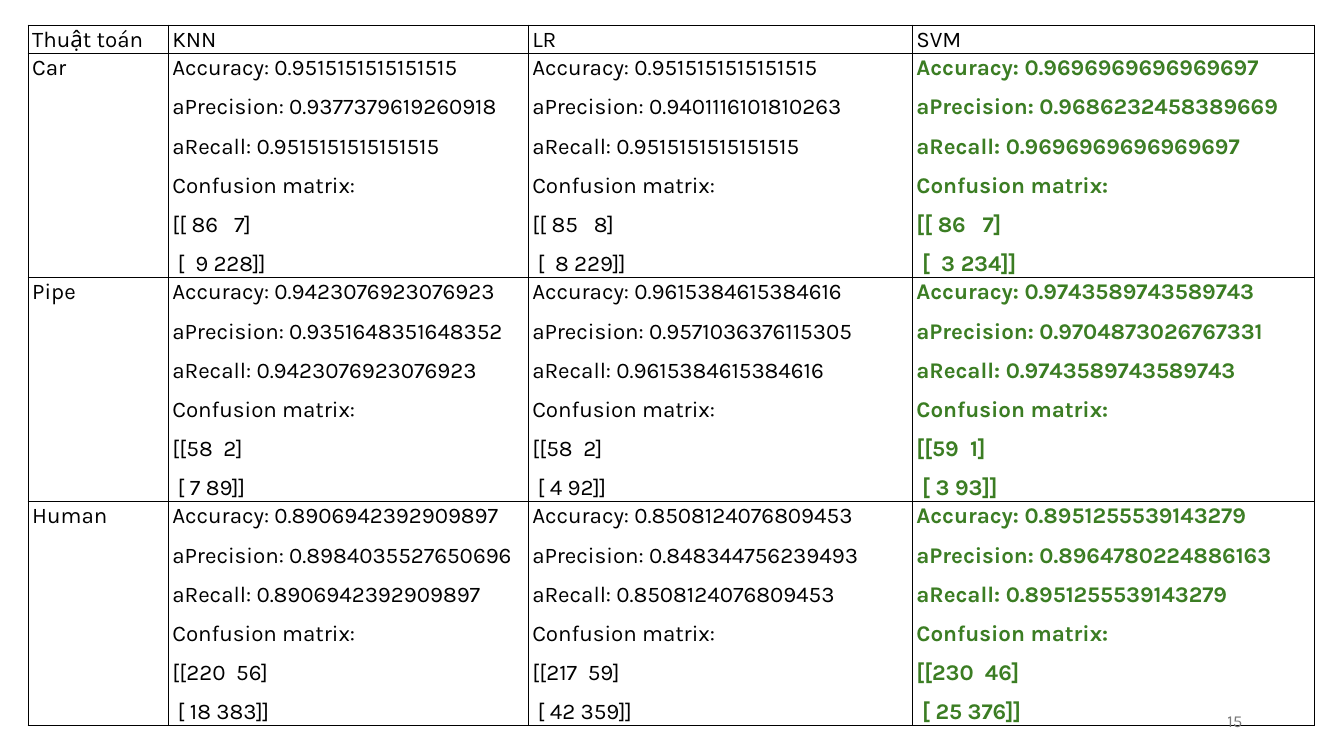
from lxml.etree import SubElement
from pptx import Presentation
from pptx.dml.color import RGBColor
from pptx.enum.text import MSO_ANCHOR, PP_ALIGN
from pptx.oxml.ns import qn
from pptx.util import Inches, Pt

BLACK = RGBColor(0x00, 0x00, 0x00)
GREEN = RGBColor(0x3B, 0x7D, 0x23)
GRAY = RGBColor(0x79, 0x79, 0x79)

HEADERS = ["Thuật toán", "KNN", "LR", "SVM"]
COLUMN_WIDTHS = [1.39, 3.57, 3.81, 3.99]
HEADER_HEIGHT = 0.28
RESULT_HEIGHT = 2.22
BEST_ALGORITHM = "SVM"

# For each class and algorithm: accuracy, precision, recall, matrix rows
RESULTS = {
    "Car": [
        ("0.9515151515151515", "0.9377379619260918", "0.9515151515151515", "[[ 86   7]", " [  9 228]]"),
        ("0.9515151515151515", "0.9401116101810263", "0.9515151515151515", "[[ 85   8]", " [  8 229]]"),
        ("0.9696969696969697", "0.9686232458389669", "0.9696969696969697", "[[ 86   7]", " [  3 234]]"),
    ],
    "Pipe": [
        ("0.9423076923076923", "0.9351648351648352", "0.9423076923076923", "[[58  2]", " [ 7 89]]"),
        ("0.9615384615384616", "0.9571036376115305", "0.9615384615384616", "[[58  2]", " [ 4 92]]"),
        ("0.9743589743589743", "0.9704873026767331", "0.9743589743589743", "[[59  1]", " [ 3 93]]"),
    ],
    "Human": [
        ("0.8906942392909897", "0.8984035527650696", "0.8906942392909897", "[[220  56]", " [ 18 383]]"),
        ("0.8508124076809453", "0.848344756239493", "0.8508124076809453", "[[217  59]", " [ 42 359]]"),
        ("0.8951255539143279", "0.8964780224886163", "0.8951255539143279", "[[230  46]", " [ 25 376]]"),
    ],
}


def result_lines(accuracy, precision, recall, first_row, second_row):
    return [
        f"Accuracy: {accuracy}",
        f"aPrecision: {precision}",
        f"aRecall: {recall}",
        "Confusion matrix:",
        first_row,
        second_row,
    ]


class SlideBuilder:
    font_name = "Karla"
    table_size = Pt(16)
    number_size = Pt(12)
    border_width = Pt(1)

    def __init__(self, slide):
        self.slide = slide

    def style_font(self, paragraph, size, color, bold=False):
        paragraph.font.name = self.font_name
        paragraph.font.size = size
        paragraph.font.color.rgb = color
        paragraph.font.bold = bold

    def add_borders(self, cell):
        properties = cell._tc.get_or_add_tcPr()
        for side in ("a:lnL", "a:lnR", "a:lnT", "a:lnB"):
            line = SubElement(properties, qn(side), w=str(self.border_width))
            fill = SubElement(line, qn("a:solidFill"))
            SubElement(fill, qn("a:srgbClr"), val=str(BLACK))

    def fill_cell(self, cell, lines, color, bold):
        cell.margin_left = cell.margin_right = Inches(0.04)
        cell.margin_top = cell.margin_bottom = 0
        self.add_borders(cell)
        cell.fill.background()
        cell.text_frame.text = "\n".join(lines)
        for paragraph in cell.text_frame.paragraphs:
            paragraph.line_spacing = 1.07
            paragraph.space_after = Pt(8)
            self.style_font(paragraph, self.table_size, color, bold)

    def add_table(self, left, top, widths, heights, rows):
        frame = self.slide.shapes.add_table(
            len(heights), len(widths), Inches(left), Inches(top),
            Inches(sum(widths)), Inches(sum(heights)))
        table = frame.table
        table.first_row = table.horz_banding = False
        for column, width in zip(table.columns, widths):
            column.width = Inches(width)
        for row, height in zip(table.rows, heights):
            row.height = Inches(height)
        best_column = HEADERS.index(BEST_ALGORITHM)
        for row_index, row in enumerate(rows):
            for column_index, lines in enumerate(row):
                best = row_index > 0 and column_index == best_column
                self.fill_cell(table.cell(row_index, column_index), lines,
                               GREEN if best else BLACK, best)

    def add_slide_number(self, text, left, top, width, height):
        shape = self.slide.shapes.add_textbox(
            Inches(left), Inches(top), Inches(width), Inches(height))
        text_frame = shape.text_frame
        text_frame.word_wrap = True
        text_frame.vertical_anchor = MSO_ANCHOR.MIDDLE
        paragraph = text_frame.paragraphs[0]
        paragraph.text = text
        paragraph.alignment = PP_ALIGN.RIGHT
        self.style_font(paragraph, self.number_size, GRAY)


def main():
    presentation = Presentation()
    presentation.slide_width = Inches(13.33)
    presentation.slide_height = Inches(7.5)
    slide = presentation.slides.add_slide(presentation.slide_layouts[6])
    builder = SlideBuilder(slide)

    # Comparison table
    rows = [[[header] for header in HEADERS]]
    for class_name, results in RESULTS.items():
        rows.append([[class_name]] + [result_lines(*result) for result in results])
    heights = [HEADER_HEIGHT] + [RESULT_HEIGHT] * len(RESULTS)
    builder.add_table(0.28, 0.25, COLUMN_WIDTHS, heights, rows)

    # Slide number
    builder.add_slide_number("15", 9.42, 6.95, 3, 0.4)

    presentation.save("out.pptx")


if __name__ == "__main__":
    main()
